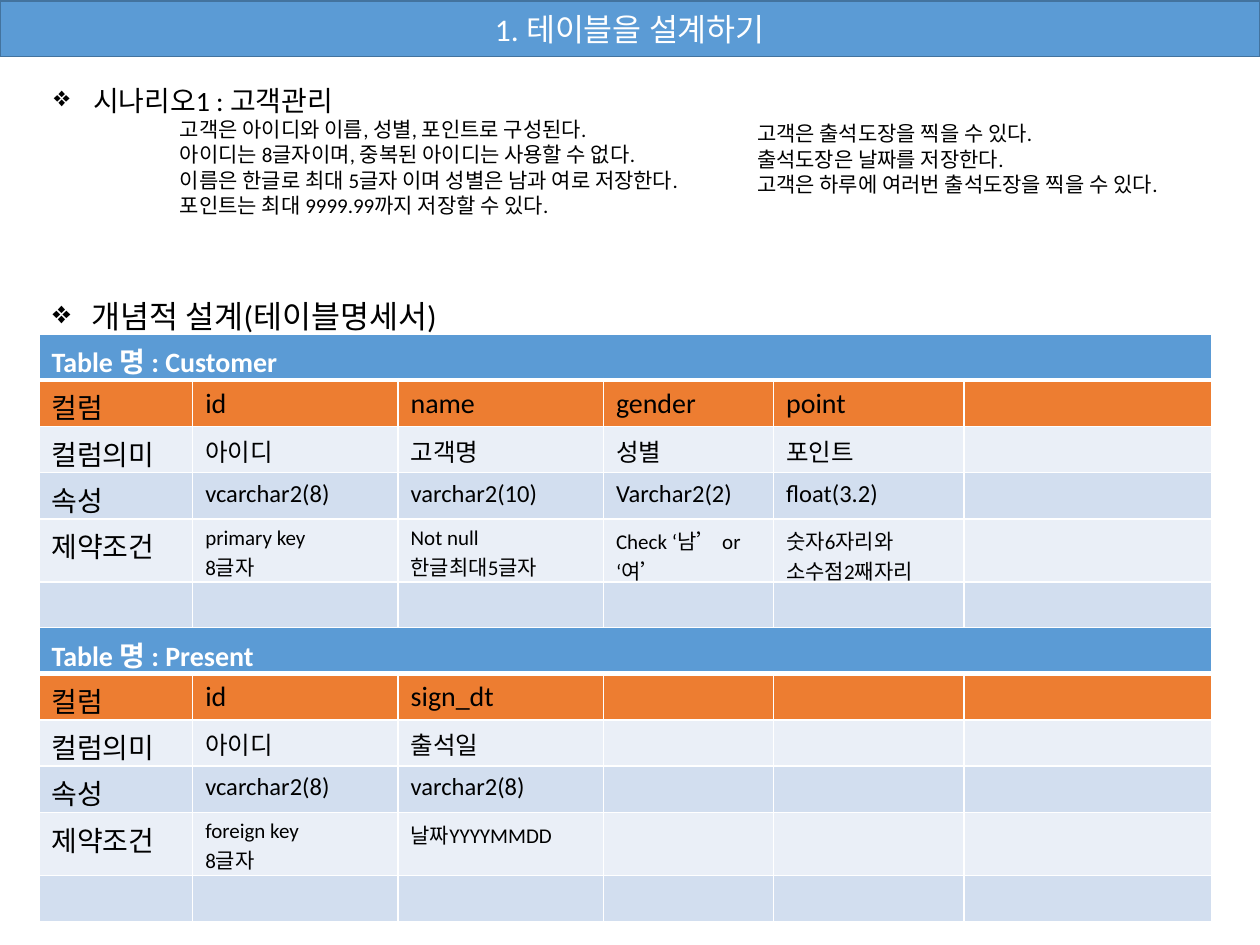
import lxml.etree
import pptx
import pptx.dml.color
import pptx.enum.shapes
import pptx.enum.text
import pptx.oxml.ns
import pptx.util

Inches = pptx.util.Inches
qn = pptx.oxml.ns.qn

COLORS = {
    "blue": "5B9BD5", "outline": "43739E", "orange": "ED7D31",
    "light": "EAEFF7", "band": "D2DEEF", "white": "FFFFFF", "black": "000000",
}
COLUMN_WIDTHS = [1.22, 1.63, 1.63, 1.35, 1.51, 1.97]
ROW_HEIGHTS = [0.36, 0.36, 0.36, 0.36, 0.5, 0.36]
ROW_FILLS = ["blue", "orange", "light", "band", "light", "band"]
ROW_SIZES = [16, 16, 14, 14, 12, 16]
ROW_LABELS = ["", "컬럼", "컬럼의미", "속성", "제약조건", ""]

CUSTOMER = [
    ["id", "아이디", "vcarchar2(8)", "primary key\n8글자"],
    ["name", "고객명", "varchar2(10)", "Not null\n한글최대5글자"],
    ["gender", "성별", "Varchar2(2)", "Check ‘남’ or ‘여’"],
    ["point", "포인트", "float(3.2)", "숫자6자리와 소수점2째자리"],
]
PRESENT = [
    ["id", "아이디", "vcarchar2(8)", "foreign key\n8글자"],
    ["sign_dt", "출석일", "varchar2(8)", "날짜YYYYMMDD"],
]
CUSTOMER_RULES = [
    "고객은 아이디와 이름, 성별, 포인트로 구성된다.",
    "아이디는 8글자이며, 중복된 아이디는 사용할 수 없다.",
    "이름은 한글로 최대 5글자 이며 성별은 남과 여로 저장한다.",
    "포인트는 최대 9999.99까지 저장할 수 있다.",
]
STAMP_RULES = [
    "고객은 출석도장을 찍을 수 있다.",
    "출석도장은 날짜를 저장한다.",
    "고객은 하루에 여러번 출석도장을 찍을 수 있다.",
]


def rgb(color):
    return pptx.dml.color.RGBColor.from_string(COLORS[color])


def write(frame, text, size=12, color="black", bold=False, align=None,
          bullet=None, level=0, indent=0):
    """Fill a text frame, or add to it, with one paragraph per line of text."""
    for line in text.split("\n"):
        paragraph = frame.paragraphs[0]
        if frame.text:
            paragraph = frame.add_paragraph()
        paragraph.level = level
        if align is not None:
            paragraph.alignment = align
        properties = paragraph._p.get_or_add_pPr()
        if indent:
            properties.set("marL", str(Inches(indent)))
            properties.set("indent", str(-Inches(indent) if bullet else 0))
        if bullet:
            lxml.etree.SubElement(properties, qn("a:buChar")).set("char", bullet)
        if not line:
            end = lxml.etree.SubElement(paragraph._p, qn("a:endParaRPr"))
            end.set("sz", str(size * 100))
            continue
        run = paragraph.add_run()
        run.text = line
        run.font.name = "Calibri"
        run.font.size = pptx.util.Pt(size)
        run.font.bold = bold
        run.font.color.rgb = rgb(color)


class SlideBuilder:
    def __init__(self, slide):
        self.slide = slide

    def banner(self, text, left, top, width, height):
        bar = self.slide.shapes.add_shape(
            pptx.enum.shapes.MSO_SHAPE.RECTANGLE,
            Inches(left), Inches(top), Inches(width), Inches(height))
        bar.shadow.inherit = False
        bar.fill.solid()
        bar.fill.fore_color.rgb = rgb("blue")
        bar.line.color.rgb = rgb("outline")
        bar.line.width = pptx.util.Pt(1)
        bar.text_frame.vertical_anchor = pptx.enum.text.MSO_ANCHOR.MIDDLE
        write(bar.text_frame, text, size=18, color="white",
              align=pptx.enum.text.PP_ALIGN.CENTER)

    def text(self, left, top, width, height):
        frame = self.slide.shapes.add_textbox(
            Inches(left), Inches(top), Inches(width), Inches(height)).text_frame
        frame.word_wrap = False
        frame.auto_size = pptx.enum.text.MSO_AUTO_SIZE.SHAPE_TO_FIT_TEXT
        return frame

    def border(self, cell, side, width):
        line = lxml.etree.SubElement(cell._tc.get_or_add_tcPr(), qn(f"a:ln{side}"))
        line.set("w", str(pptx.util.Pt(width)))
        fill = lxml.etree.SubElement(line, qn("a:solidFill"))
        lxml.etree.SubElement(fill, qn("a:srgbClr")).set("val", COLORS["white"])

    def table_design(self, name, fields, left, top):
        table = self.slide.shapes.add_table(
            len(ROW_HEIGHTS), len(COLUMN_WIDTHS), Inches(left), Inches(top),
            Inches(sum(COLUMN_WIDTHS)), Inches(sum(ROW_HEIGHTS))).table
        table.first_row = table.horz_banding = False
        for column, width in zip(table.columns, COLUMN_WIDTHS):
            column.width = Inches(width)
        for r, height in enumerate(ROW_HEIGHTS):
            table.rows[r].height = Inches(height)
            for c in range(len(COLUMN_WIDTHS)):
                cell = table.cell(r, c)
                for side in "LRTB":
                    heading_edge = (r, side) in ((0, "B"), (1, "T"))
                    self.border(cell, side, 3 if heading_edge else 1)
                cell.fill.solid()
                cell.fill.fore_color.rgb = rgb(ROW_FILLS[r])
                text = ROW_LABELS[r] if c == 0 else ""
                if 1 <= c <= len(fields) and 1 <= r <= len(fields[c - 1]):
                    text = fields[c - 1][r - 1]
                if (r, c) == (0, 0):
                    text = f"Table 명 : {name}"
                write(cell.text_frame, text, size=ROW_SIZES[r] if c else 16,
                      color="black" if r else "white", bold=r == 0)
        table.cell(0, 0).merge(table.cell(0, len(COLUMN_WIDTHS) - 1))


def main():
    presentation = pptx.Presentation()
    presentation.slide_width = Inches(10)
    presentation.slide_height = Inches(7.5)
    builder = SlideBuilder(
        presentation.slides.add_slide(presentation.slide_layouts[6]))

    scenario = builder.text(0.33, 0.61, 5.52, 1.18)
    write(scenario, "시나리오1 : 고객관리", size=16, bullet="❖", indent=0.31)
    write(scenario, "\n".join(CUSTOMER_RULES), level=2, indent=1)
    builder.banner("1. 테이블을 설계하기", 0, 0.01, 10, 0.44)
    concept = builder.text(0.32, 2.31, 3.51, 0.4)
    write(concept, "개념적 설계(테이블명세서)", size=18, bullet="❖", indent=0.31)
    builder.table_design("Customer", CUSTOMER, 0.31, 2.65)
    builder.table_design("Present", PRESENT, 0.31, 4.98)
    write(builder.text(5.91, 0.91, 3.71, 0.71), "\n".join(STAMP_RULES))

    presentation.save("out.pptx")


if __name__ == "__main__":
    main()
